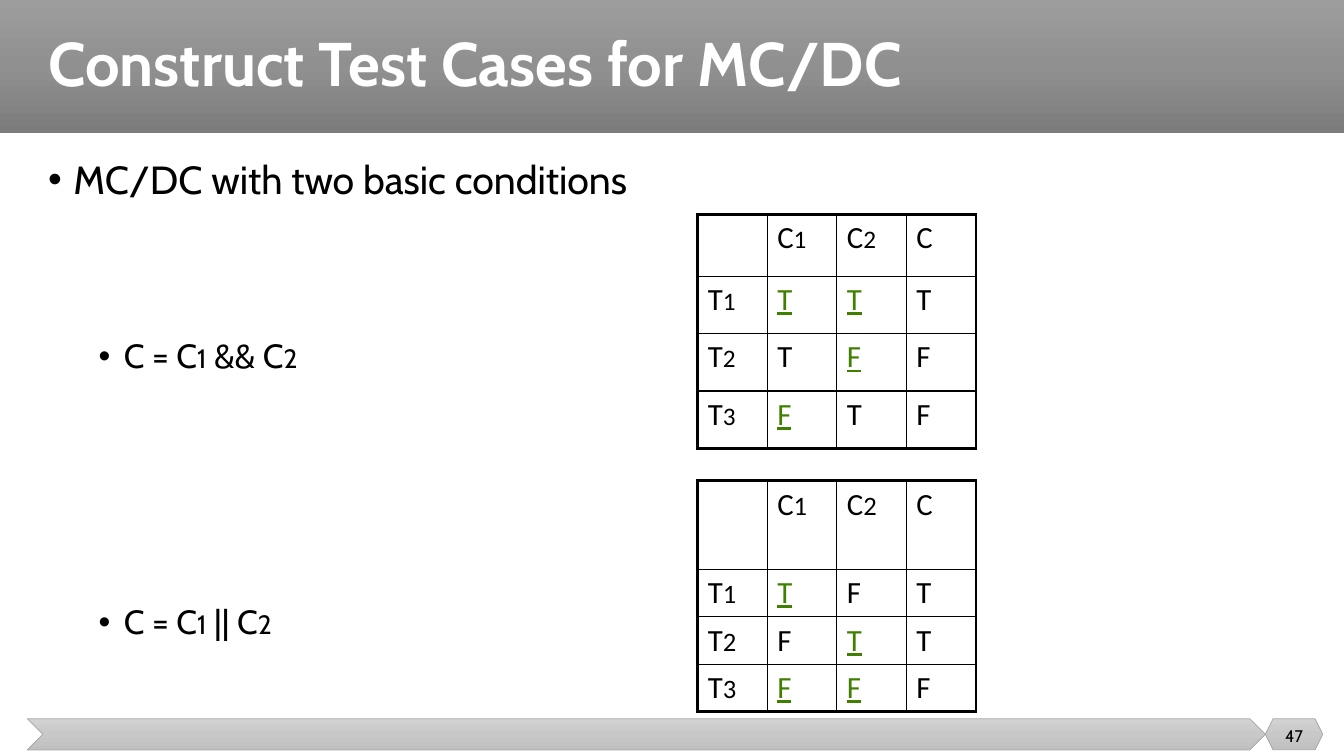
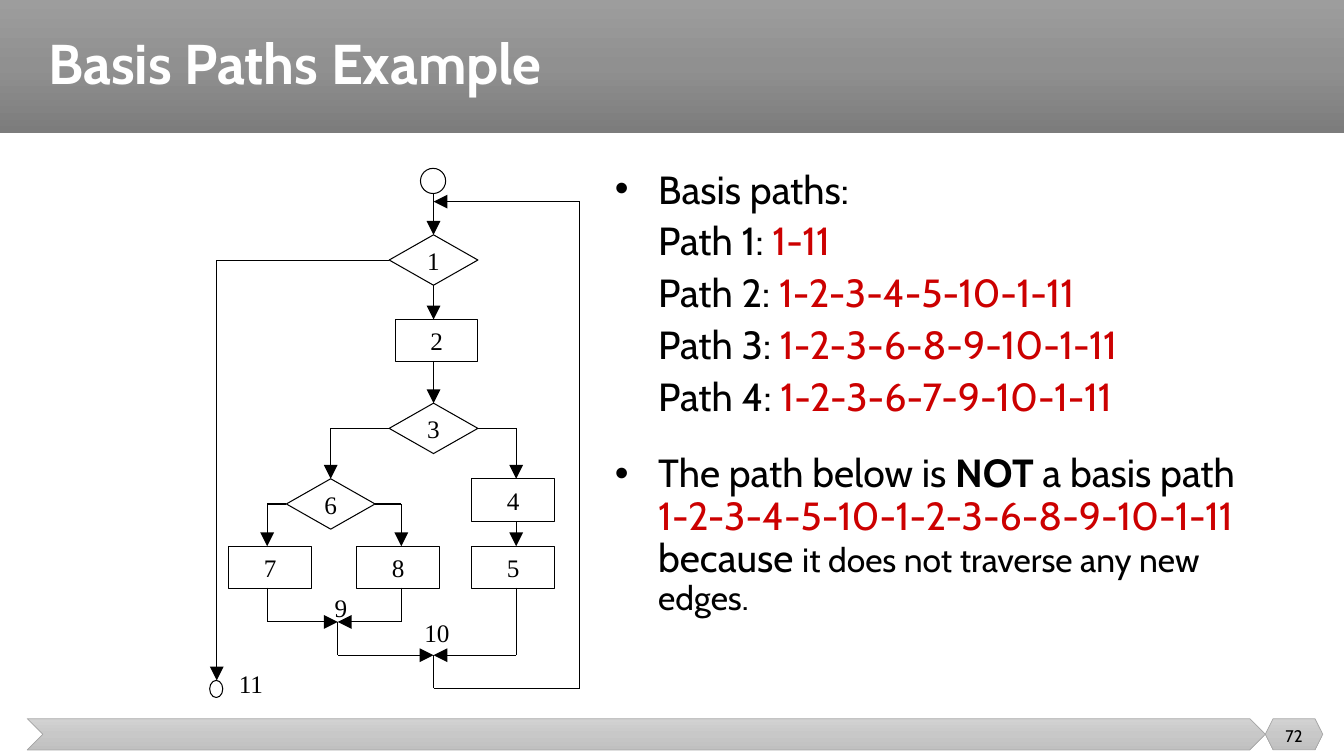
from copy import deepcopy
from itertools import pairwise

from lxml.etree import SubElement
from pptx import Presentation
from pptx.dml.color import RGBColor
from pptx.enum.shapes import MSO_CONNECTOR, MSO_SHAPE
from pptx.enum.text import MSO_ANCHOR, MSO_AUTO_SIZE, PP_ALIGN
from pptx.oxml.ns import qn
from pptx.util import Inches, Pt

BLACK, WHITE, GREEN, RED = "000000", "FFFFFF", "408000", "CC0000"
TITLE_GRADIENT = ["9D9D9D", "909090", "7C7C7C"]
FOOTER_GRADIENT = ["D2D2D2", "C8C8C8", "C0C0C0"]
BODY_FONT, TABLE_FONT, FLOW_FONT = "Cabin", "Calibri", "Times New Roman"


def add_run(paragraph, text, size, font=BODY_FONT, color=BLACK, bold=False, underline=False):
    for index, line in enumerate(text.split("\n")):
        if index:
            paragraph.add_line_break()
        if line:
            run = paragraph.add_run()
            run.text = line
            run.font.size = Pt(size)
            run.font.name = font
            run.font.bold = bold
            run.font.underline = underline
            run.font.color.rgb = RGBColor.from_string(color)


def add_bullet(frame, margin, hanging, line_spacing, space_before, space_after=0):
    paragraph = frame.paragraphs[0]
    if paragraph.runs:
        paragraph = frame.add_paragraph()
    properties = paragraph._p.get_or_add_pPr()
    properties.set("marL", str(Inches(margin)))
    properties.set("indent", str(-Inches(hanging)))
    SubElement(properties, qn("a:buFont"), typeface="Arial")
    SubElement(properties, qn("a:buChar"), char="•")
    paragraph.line_spacing = line_spacing
    paragraph.space_before = Pt(space_before)
    paragraph.space_after = Pt(space_after)
    return paragraph


presentation = Presentation()
presentation.slide_width = Inches(13.33)
presentation.slide_height = Inches(7.5)
layout = presentation.slide_layouts[5]

slides = []
for title_text, title_size, number in [
    ("Construct Test Cases for MC/DC", 44, "47"),
    ("Basis Paths Example", 40, "72"),
]:
    slide = presentation.slides.add_slide(layout)
    slides.append(slide)
    title = slide.shapes.title
    title.left, title.top = Inches(0.38), Inches(0)
    title.width, title.height = Inches(12.74), Inches(1.32)
    title.text_frame.vertical_anchor = MSO_ANCHOR.MIDDLE
    paragraph = title.text_frame.paragraphs[0]
    paragraph.alignment = PP_ALIGN.LEFT
    paragraph.line_spacing = 0.9
    add_run(paragraph, title_text, title_size, color=WHITE, bold=True)

    number_box = slide.shapes.add_textbox(Inches(12.55), Inches(7.1), Inches(0.57), Inches(0.4))
    number_box.text_frame.word_wrap = True
    number_box.text_frame.vertical_anchor = MSO_ANCHOR.MIDDLE
    paragraph = number_box.text_frame.paragraphs[0]
    paragraph.alignment = PP_ALIGN.CENTER
    add_run(paragraph, number, 12)

conditions_slide, paths_slide = slides

for position, (preset, left, top, width, height, colors, outline) in enumerate([
    (MSO_SHAPE.RECTANGLE, 0, 0, 13.33, 1.32, TITLE_GRADIENT, None),
    (MSO_SHAPE.CHEVRON, 0.27, 7.13, 12.28, 0.31, FOOTER_GRADIENT, "A5A5A5"),
    (MSO_SHAPE.HEXAGON, 12.55, 7.13, 0.57, 0.31, FOOTER_GRADIENT, "A5A5A5"),
]):
    band = conditions_slide.shapes.add_shape(
        preset, Inches(left), Inches(top), Inches(width), Inches(height))
    band.shadow.inherit = False
    band.fill.gradient()
    band.fill.gradient_angle = 270
    stop_list = band.element.spPr.find(".//" + qn("a:gsLst"))
    stop_list.insert(1, deepcopy(stop_list[0]))
    for index, (stop, color) in enumerate(zip(band.fill.gradient_stops, colors)):
        stop.position = index / 2
        stop.color.rgb = RGBColor.from_string(color)
    if outline:
        band.line.color.rgb = RGBColor.from_string(outline)
        band.line.width = Pt(0.5)
    else:
        band.line.fill.background()
    layout.shapes.element.insert(2 + position, band.element)

body = conditions_slide.shapes.add_textbox(Inches(0.38), Inches(1.54), Inches(6.4), Inches(5.19))
body.text_frame.word_wrap = True
paragraph = add_bullet(body.text_frame, 0.25, 0.25, 0.9, 0)
add_run(paragraph, "MC/DC with two basic conditions", 28)
for operator, space_before in [("&&", 98), ("||", 164)]:
    paragraph = add_bullet(body.text_frame, 0.75, 0.25, 0.9, space_before)
    for text, size in [("C = C", 24), ("1", 19), (f" {operator} C", 24), ("2", 19)]:
        add_run(paragraph, text, size)

HEADER = ["", "C1", "C2", "C"]
truth_tables = [
    (2.13, [0.61, 0.57, 0.57, 0.57], 18,
     [HEADER, ["T1", "T*", "T*", "T"], ["T2", "T", "F*", "F"], ["T3", "F*", "T", "F"]]),
    (4.77, [0.88, 0.47, 0.47, 0.47], 19,
     [HEADER, ["T1", "T*", "F", "T"], ["T2", "F", "T*", "T"], ["T3", "F*", "F*", "F"]]),
]
for top, row_heights, digit_size, values in truth_tables:
    frame = conditions_slide.shapes.add_table(
        4, 4, Inches(6.92), Inches(top), Inches(2.75), Inches(sum(row_heights)))
    table = frame.table
    table.first_row = False
    table.horz_banding = False
    for column in table.columns:
        column.width = Inches(0.69)
    for row_index, row_height in enumerate(row_heights):
        table.rows[row_index].height = Inches(row_height)
        for column_index, value in enumerate(values[row_index]):
            cell = table.cell(row_index, column_index)
            cell_properties = cell._tc.get_or_add_tcPr()
            for side, is_outer in [
                ("L", column_index == 0), ("R", column_index == 3),
                ("T", row_index == 0), ("B", row_index == 3),
            ]:
                border = SubElement(cell_properties, qn(f"a:ln{side}"),
                                    w=str(Pt(2.25 if is_outer else 1)))
                border_fill = SubElement(border, qn("a:solidFill"))
                SubElement(border_fill, qn("a:srgbClr"), val=BLACK)
            cell.fill.background()
            paragraph = cell.text_frame.paragraphs[0]
            marked = value.endswith("*")
            for character in value.rstrip("*"):
                add_run(paragraph, character, digit_size if character.isdigit() else 22,
                        TABLE_FONT, GREEN if marked else BLACK, underline=marked)

body = paths_slide.shapes.add_textbox(Inches(6), Inches(1.54), Inches(6.41), Inches(5.92))
body.text_frame.word_wrap = True
paragraph = add_bullet(body.text_frame, 0.43, 0.43, 1.1, 0, 12)
add_run(paragraph, "Basis paths:", 28)
for index, basis_path in enumerate(
    ["1-11", "1-2-3-4-5-10-1-11", "1-2-3-6-8-9-10-1-11", "1-2-3-6-7-9-10-1-11"], 1
):
    add_run(paragraph, f"\nPath {index}: ", 28)
    add_run(paragraph, basis_path, 28, color=RED)
paragraph = add_bullet(body.text_frame, 0.43, 0.43, 0.9, 13, 12)
add_run(paragraph, "The path below is ", 28)
add_run(paragraph, "NOT", 28, bold=True)
add_run(paragraph, " a basis path ", 28)
add_run(paragraph, "1-2-3-4-5-10-1-2-3-6-8-9-10-1-11 ", 28, color=RED)
add_run(paragraph, "because ", 28)
add_run(paragraph, "it does not traverse any new edges.", 24)

flowchart = paths_slide.shapes.add_group_shape().shapes
DIAMOND, BOX, CIRCLE = MSO_SHAPE.DIAMOND, MSO_SHAPE.RECTANGLE, MSO_SHAPE.OVAL
node_sizes = {DIAMOND: (0.88, 0.5), BOX: (0.82, 0.42)}
joints = {}
for label, preset, left, top in [
    ("1", DIAMOND, 3.86, 2.33), ("2", BOX, 3.92, 3.17), ("3", DIAMOND, 3.86, 4),
    ("6", DIAMOND, 2.84, 4.75), ("4", BOX, 4.68, 4.75), ("5", BOX, 4.68, 5.42),
    ("7", BOX, 2.27, 5.42), ("8", BOX, 3.54, 5.42),
    ("start", CIRCLE, 4.17, 1.67), ("end", CIRCLE, 2.08, 6.75),
]:
    width, height = node_sizes.get(preset, (0.25, 0.25) if label == "start" else (0.13, 0.17))
    node = flowchart.add_shape(preset, Inches(left), Inches(top), Inches(width), Inches(height))
    node.shadow.inherit = False
    node.fill.solid()
    node.fill.fore_color.rgb = RGBColor.from_string(WHITE)
    node.line.color.rgb = RGBColor.from_string(BLACK)
    node.line.width = Pt(0.75)
    if preset == CIRCLE:
        continue
    node.text_frame.word_wrap = False
    node.text_frame.vertical_anchor = MSO_ANCHOR.MIDDLE
    paragraph = node.text_frame.paragraphs[0]
    paragraph.alignment = PP_ALIGN.CENTER
    add_run(paragraph, label, 18, FLOW_FONT)
    center, middle = left + width / 2, top + height / 2
    for site, (x, y) in enumerate(
        [(center, top), (left, middle), (center, top + height), (left + width, middle)]
    ):
        joints[round(x, 2), round(y, 2)] = node, site

routes = [
    [(4.3, 1.92), (4.3, 2.33)],
    [(4.3, 2.83), (4.3, 3.17)],
    [(4.3, 3.58), (4.3, 4)],
    [(3.86, 4.25), (3.28, 4.25), (3.28, 4.75)],
    [(4.74, 4.25), (5.12, 4.25), (5.12, 4.75)],
    [(5.12, 5.17), (5.12, 5.42)],
    [(2.84, 5), (2.65, 5), (2.65, 5.42)],
    [(3.72, 5), (3.98, 5), (3.98, 5.42)],
    [(2.65, 5.83), (2.65, 6.17), (3.35, 6.17)],
    [(3.98, 5.83), (3.98, 6.17), (3.35, 6.17)],
    [(3.35, 6.17), (3.35, 6.5), (4.3, 6.5)],
    [(5.12, 5.83), (5.12, 6.5), (4.3, 6.5)],
    [(4.3, 6.5), (4.3, 6.83), (5.75, 6.83), (5.75, 2), (4.3, 2)],
    [(3.86, 2.58), (2.15, 2.58), (2.15, 6.75)],
]
for route in routes:
    for begin, end in pairwise(route):
        connector = flowchart.add_connector(
            MSO_CONNECTOR.STRAIGHT, *[Inches(value) for value in begin + end])
        if begin in joints:
            connector.begin_connect(*joints[begin])
        if end in joints:
            connector.end_connect(*joints[end])
        connector.line.color.rgb = RGBColor.from_string(BLACK)
        connector.line.width = Pt(0.75)
        if end == route[-1]:
            SubElement(connector.line._get_or_add_ln(), qn("a:tailEnd"),
                       type="triangle", w="lg", len="lg")
        SubElement(connector.element.spPr, qn("a:effectLst"))

for label, left, top, width in [("9", 3.22, 5.83, 0.25), ("10", 4.11, 6.08, 0.64),
                                ("11", 2.27, 6.58, 0.64)]:
    label_box = flowchart.add_textbox(Inches(left), Inches(top), Inches(width), Inches(0.4))
    label_box.text_frame.word_wrap = True
    label_box.text_frame.auto_size = MSO_AUTO_SIZE.SHAPE_TO_FIT_TEXT
    add_run(label_box.text_frame.paragraphs[0], label, 18, FLOW_FONT)

presentation.save("out.pptx")
